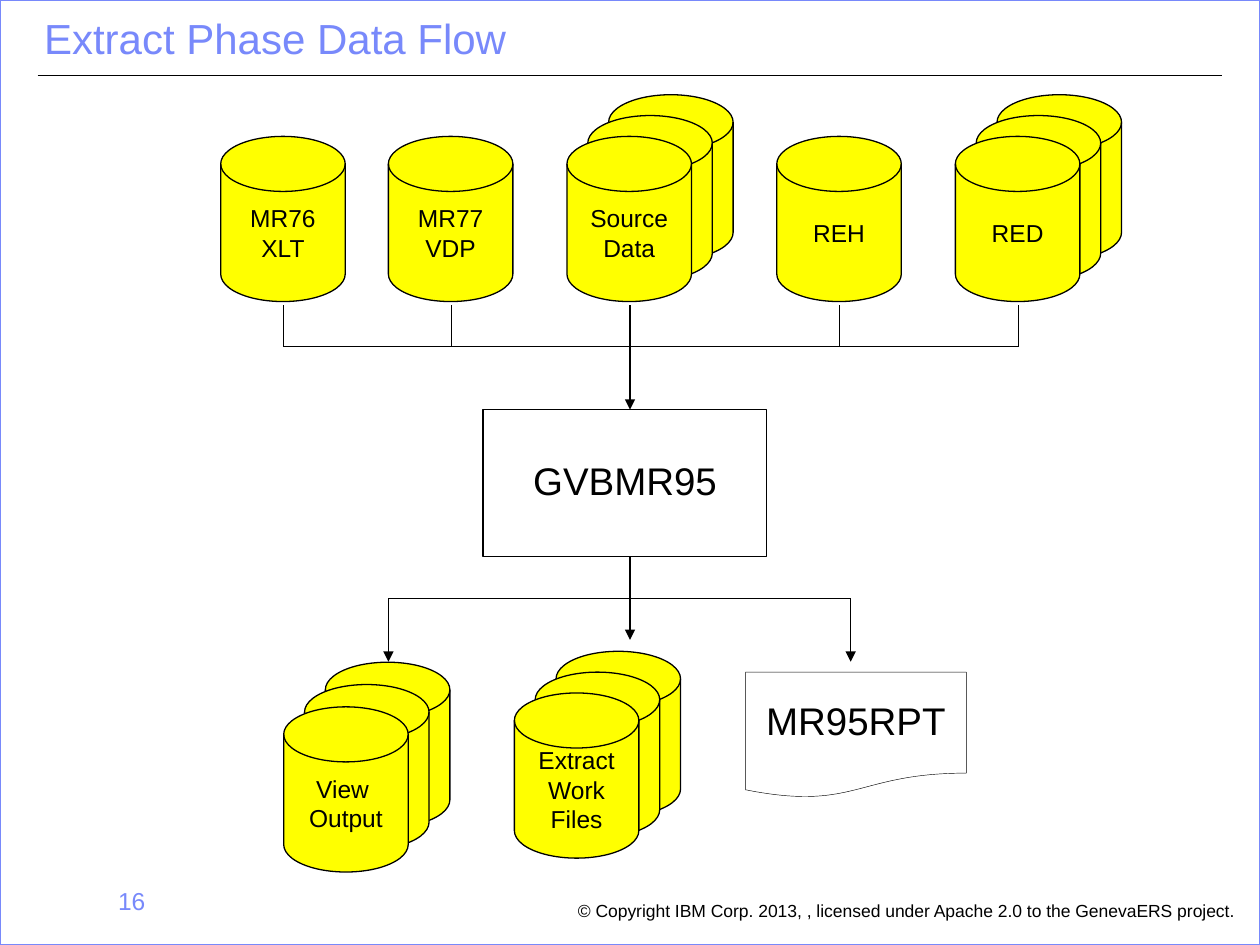
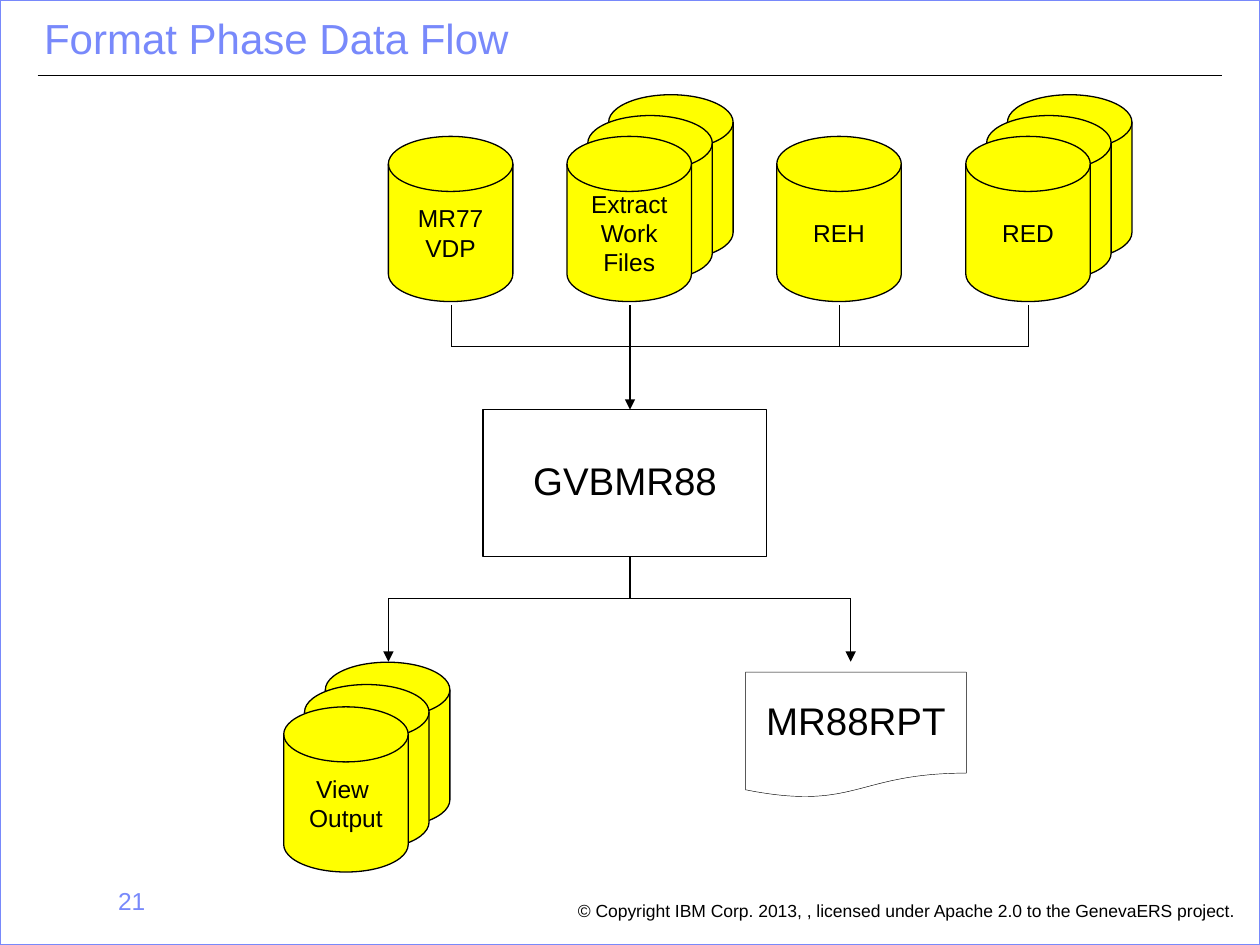
from lxml.etree import SubElement
from pptx import Presentation
from pptx.dml.color import RGBColor
from pptx.enum.shapes import MSO_CONNECTOR, MSO_SHAPE as SHAPE
from pptx.enum.text import MSO_ANCHOR as ANCHOR, PP_ALIGN as ALIGN
from pptx.oxml.ns import qn
from pptx.util import Cm, Pt

COLORS = {"accent": "7889FB", "ink": "000000", "disk": "FFFF00"}
DISK_W, DISK_H = 2.51, 3.33
STEP = 0.42                      # offset between the disks of a stack
INPUT_TOP, STEM_TOP = 2.75, 6.15
IN_BUS, OUT_BUS = 6.99, 12.07    # heights of the two horizontal lines
MID_X, VIEW_X, REPORT_X = 12.7, 7.83, 17.15
PROGRAM_TOP, PROGRAM_H = 8.26, 2.96
PROGRAM_BOTTOM = PROGRAM_TOP + PROGRAM_H
OUT_TIP = 13.34

# disks: label, left, top, number in the stack, vertical step
VDP = ("MR77\nVDP", 7.83, INPUT_TOP, 1, STEP)
REH = ("REH", 15.66, INPUT_TOP, 1, STEP)
VIEW = ("View \nOutput", 5.72, 14.25, 3, 0.45)
FLOWS = [
    {"title": "Extract Phase Data Flow", "number": "16",
     "program": "GVBMR95", "report": "MR95RPT", "middle_tip": 12.9,
     "inputs": [("MR76\nXLT", 4.45, INPUT_TOP, 1, STEP), VDP,
                ("Source\nData", 11.43, INPUT_TOP, 3, STEP), REH,
                ("RED", 19.26, INPUT_TOP, 3, STEP)],
     "outputs": [VIEW, ("Extract\nWork\nFiles", 10.37, 13.97, 3, STEP)]},
    {"title": "Format Phase Data Flow", "number": "21",
     "program": "GVBMR88", "report": "MR88RPT", "middle_tip": None,
     "inputs": [VDP, ("Extract\nWork\nFiles", 11.43, INPUT_TOP, 3, STEP), REH,
                ("RED", 19.47, INPUT_TOP, 3, STEP)],
     "outputs": [VIEW]},
]


def add_box(s, kind, x, y, w, h, text="", size=14, color="ink", fill=None,
            line="ink", weight=0.75, align=ALIGN.CENTER, anchor=ANCHOR.MIDDLE,
            spacing=None, wrap=False):
    """Add a preset shape, or a text box when kind is None."""
    place = Cm(x), Cm(y), Cm(w), Cm(h)
    if kind is None:
        sp = s.shapes.add_textbox(*place)
    else:
        sp = s.shapes.add_shape(kind, *place)
        sp.shadow.inherit = False
        sp.line.color.rgb = RGBColor.from_string(COLORS[line])
        sp.line.width = Pt(weight)
        if fill:
            sp.fill.solid()
            sp.fill.fore_color.rgb = RGBColor.from_string(COLORS[fill])
        else:
            sp.fill.background()
    if text:
        tf = sp.text_frame
        tf.text = text
        tf.word_wrap = wrap
        tf.vertical_anchor = anchor
        for p in tf.paragraphs:
            p.alignment = align
            p.line_spacing = spacing
            p.font.name = "Arial"
            p.font.size = Pt(size)
            p.font.color.rgb = RGBColor.from_string(COLORS[color])


def add_line(s, x1, y1, x2, y2, arrow=False):
    c = s.shapes.add_connector(MSO_CONNECTOR.STRAIGHT, Cm(x1), Cm(y1), Cm(x2), Cm(y2))
    c.line.color.rgb = RGBColor.from_string(COLORS["ink"])
    c.line.width = Pt(0.75)
    if arrow:
        SubElement(c.line._get_or_add_ln(), qn("a:tailEnd"), type="triangle")
    SubElement(c._element.spPr, qn("a:effectLst"))


prs = Presentation()
prs.slide_width, prs.slide_height = Cm(25.4), Cm(19.05)

for flow in FLOWS:
    s = prs.slides.add_slide(prs.slide_layouts[6])

    # Frame, title and footer
    add_line(s, 0.76, 1.52, 24.64, 1.52)
    add_box(s, SHAPE.RECTANGLE, 0, 0, 25.4, 19.05, line="accent", weight=1)
    add_box(s, None, 11.4, 18.06, 13.84, 0.64,
            "© Copyright IBM Corp. 2013, , licensed under Apache 2.0 to the GenevaERS project.",
            size=10, align=ALIGN.LEFT, anchor=ANCHOR.TOP, spacing=0.9)
    add_box(s, None, 0.64, 17.73, 2.54, 1.32, flow["number"], color="accent",
            align=ALIGN.RIGHT, anchor=ANCHOR.TOP, wrap=True)
    add_box(s, None, 0.64, 0, 19.89, 1.4, flow["title"], size=24, color="accent",
            align=ALIGN.LEFT, anchor=ANCHOR.BOTTOM, spacing=0.9, wrap=True)

    # Program and report
    add_box(s, SHAPE.RECTANGLE, 9.74, PROGRAM_TOP, 5.72, PROGRAM_H,
            flow["program"], size=22, spacing=0.9)
    add_box(s, SHAPE.FLOWCHART_DOCUMENT, 15.03, 13.55, 4.45, 2.54,
            flow["report"], size=22, weight=0.25, spacing=0.9)

    # Data sets, each stack drawn from back to front
    for label, left, top, count, dy in flow["inputs"] + flow["outputs"]:
        for i in reversed(range(count)):
            add_box(s, SHAPE.FLOWCHART_MAGNETIC_DISK, left + i * STEP, top - i * dy,
                    DISK_W, DISK_H, "" if i else label, fill="disk")

    # Lines from the inputs to the program
    stems = [left + 1.27 for _, left, *_ in flow["inputs"]]
    for x in stems:
        add_line(s, x, STEM_TOP, x, IN_BUS)
    add_line(s, stems[0], IN_BUS, stems[-1], IN_BUS)
    add_line(s, MID_X, IN_BUS, MID_X, PROGRAM_TOP, arrow=True)

    # Lines from the program to the outputs
    middle_tip = flow["middle_tip"]
    add_line(s, MID_X, PROGRAM_BOTTOM, MID_X, middle_tip or OUT_BUS, arrow=bool(middle_tip))
    add_line(s, VIEW_X, OUT_BUS, REPORT_X, OUT_BUS)
    for x in (VIEW_X, REPORT_X):
        add_line(s, x, OUT_BUS, x, OUT_TIP, arrow=True)

prs.save("out.pptx")
